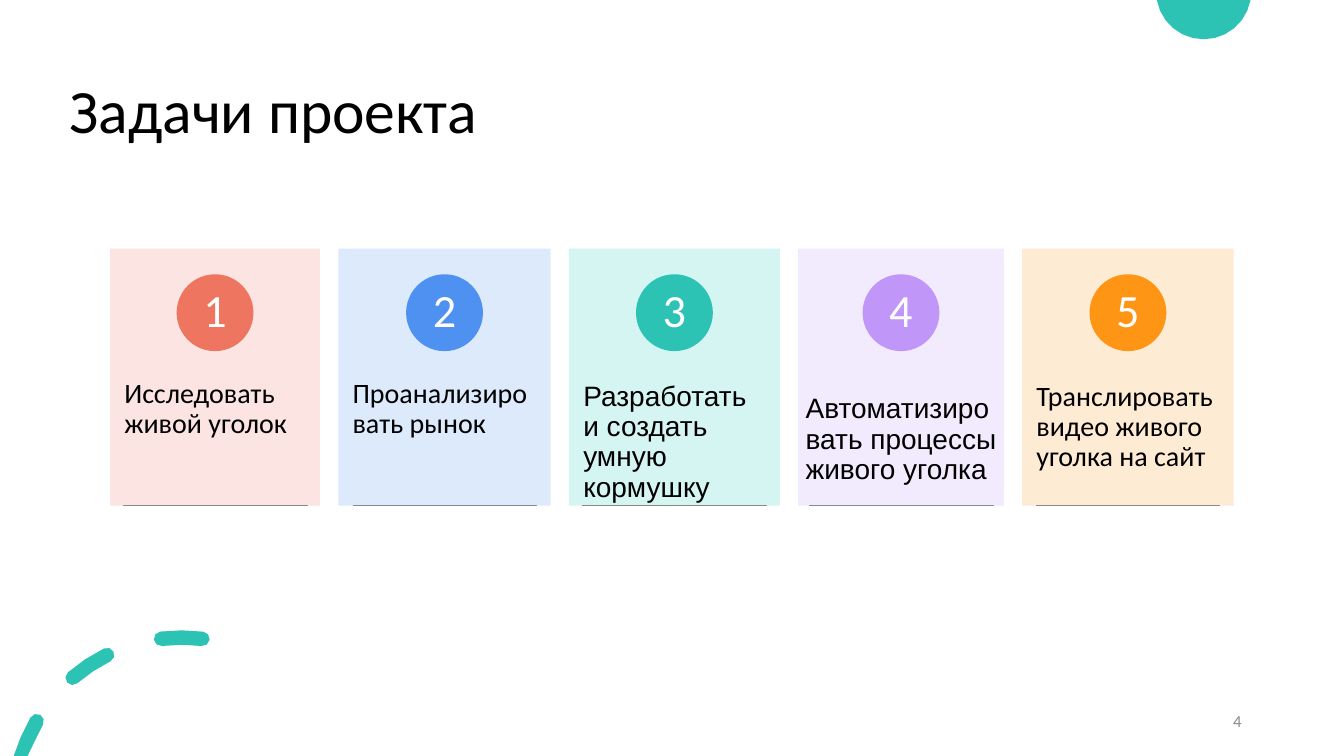
from dataclasses import dataclass
from math import cos, radians, sin

from pptx import Presentation, util as u
from pptx.dml.color import RGBColor
from pptx.enum import shapes, text
from pptx.oxml import ns
from lxml import etree

COLS, ROWS = 160, 90
Point = tuple[float, float]


@dataclass(frozen=True)
class Theme:
    teal: str = "2CC3B4"
    black: str = "000000"
    white: str = "FFFFFF"
    grey: str = "888888"
    font: str = "Calibri"
    alt_font: str = "Arial"
    title_size: float = 44
    number_size: float = 33
    body_size: float = 20
    page_size: float = 12
    card_opacity: int = 90
    rule_width: float = 0.25


@dataclass(frozen=True)
class Box:
    left: float
    top: float
    width: float
    height: float


@dataclass(frozen=True)
class Style:
    font: str
    size: float
    color: str
    align: text.PP_ALIGN = text.PP_ALIGN.LEFT
    anchor: text.MSO_ANCHOR = text.MSO_ANCHOR.MIDDLE
    inset_x: float = 1.2
    inset_top: float = 0.6
    inset_bottom: float = 0.6
    spacing: float = 0.9


@dataclass(frozen=True)
class Task:
    label: str
    width: float
    tint: str
    accent: str
    rule: str
    font: str = "Calibri"
    inset_top: float = 4.3
    label_left: float = 0
    label_down: float = 0
    label_extra: float = 0


THEME = Theme()
CARD_LEFT, CARD_TOP, CARD_HEIGHT, CARD_GAP = 13.1, 29.6, 30.6, 2.17
DISC_TOP, DISC_SIZE, NUMBER_SIZE = 32.65, 9.15, 6.5
LABEL_TOP, LABEL_HEIGHT = 41.2, 18.4
RULE_TOP, RULE_LENGTH = 60.15, 21.85
TASKS = [
    Task("Исследовать живой уголок", 25, "FBE2DE", "EE7661", "5A5260",
         inset_top=4.95),
    Task("Проанализировать рынок", 25.3, "D9E8FC", "4E91F0", "BE96F6",
         inset_top=4.95),
    Task("Разработать и создать умную кормушку", 25.1, "D1F5F2", "2CC3B4",
         "2CC3B4", THEME.alt_font),
    Task("Автоматизировать процессы живого уголка", 24.5, "F1E9FD", "C097F8",
         "2AC2B1", THEME.alt_font, label_left=-0.8, label_down=1.5,
         label_extra=2.1),
    Task("Транслировать видео живого уголка на сайт", 25.2, "FEE9D0", "FF9514",
         "FF9513"),
]

prs = Presentation()
prs.slide_width, prs.slide_height = u.Inches(40 / 3), u.Inches(7.5)


def col(n: float) -> u.Emu:
    return u.Emu(round(prs.slide_width * n / COLS))


def row(n: float) -> u.Emu:
    return u.Emu(round(prs.slide_height * n / ROWS))


def place(box: Box) -> tuple[u.Emu, u.Emu, u.Emu, u.Emu]:
    return col(box.left), row(box.top), col(box.width), row(box.height)


def paint(s, fill: str, line: str | None = None, opacity: int = 100) -> None:
    s.shadow.inherit = False
    s.fill.solid()
    s.fill.fore_color.rgb = RGBColor.from_string(fill)
    if opacity < 100:
        clr = s._element.spPr.find(f"{ns.qn('a:solidFill')}/{ns.qn('a:srgbClr')}")
        etree.SubElement(clr, ns.qn("a:alpha"), val=str(opacity * 1000))
    if line is None:
        s.line.fill.background()
    else:
        s.line.color.rgb = RGBColor.from_string(line)
        s.line.width = u.Pt(THEME.rule_width)


def add_text(parent, box: Box, words: str, style: Style) -> None:
    tf = parent.shapes.add_textbox(*place(box)).text_frame
    tf.word_wrap = True
    tf.vertical_anchor = style.anchor
    tf.margin_left = tf.margin_right = col(style.inset_x)
    tf.margin_top, tf.margin_bottom = row(style.inset_top), row(style.inset_bottom)
    p = tf.paragraphs[0]
    p.add_run().text = words
    p.alignment = style.align
    p.line_spacing = style.spacing
    p.font.name = style.font
    p.font.size = u.Pt(style.size)
    p.font.color.rgb = RGBColor.from_string(style.color)


def add_shape(parent, kind: shapes.MSO_SHAPE, box: Box, fill: str,
              line: str | None = None, opacity: int = 100) -> None:
    paint(parent.shapes.add_shape(kind, *place(box)), fill, line, opacity)


def arc(center: Point, radius: float, start: float, end: float,
        steps: int) -> list[Point]:
    angles = [radians(start + (end - start) * i / steps) for i in range(steps + 1)]
    return [(center[0] + radius * sin(a), center[1] - radius * cos(a))
            for a in angles]


def ring_dash(center: Point, radius: float, half: float, start: float,
              end: float) -> list[Point]:
    tail, head = arc(center, radius, start, end, 1)
    return (arc(center, radius + half, start, end, 2)
            + arc(head, half, end, end + 180, 4)[1:-1]
            + arc(center, radius - half, end, start, 2)
            + arc(tail, half, start + 180, start + 360, 4)[1:-1])


def add_outline(slide, contours: list[list[Point]], fill: str) -> None:
    clipped = [[(col(x), row(min(max(y, 0), ROWS))) for x, y in contour]
               for contour in contours]
    builder = slide.shapes.build_freeform(*clipped[0][0])
    for i, contour in enumerate(clipped):
        if i:
            builder.move_to(*contour[0])
        builder.add_line_segments(contour[1:], close=True)
    paint(builder.convert_to_shape(), fill)


def add_task(group, number: int, left: float, task: Task) -> None:
    middle = left + task.width / 2
    rect, oval = shapes.MSO_SHAPE.RECTANGLE, shapes.MSO_SHAPE.OVAL
    add_shape(group, rect, Box(left, CARD_TOP, task.width, CARD_HEIGHT),
              task.tint, opacity=THEME.card_opacity)
    label = Box(left + task.label_left, LABEL_TOP + task.label_down,
                task.width + task.label_extra, LABEL_HEIGHT)
    add_text(group, label, task.label,
             Style(task.font, THEME.body_size, THEME.black,
                   anchor=text.MSO_ANCHOR.TOP, inset_x=1.7,
                   inset_top=task.inset_top, inset_bottom=4.3))
    add_shape(group, oval, Box(middle - DISC_SIZE / 2, DISC_TOP,
                               DISC_SIZE, DISC_SIZE), task.accent)
    add_text(group, Box(middle - NUMBER_SIZE / 2,
                        DISC_TOP + (DISC_SIZE - NUMBER_SIZE) / 2,
                        NUMBER_SIZE, NUMBER_SIZE), str(number),
             Style(THEME.font, THEME.number_size, THEME.white,
                   text.PP_ALIGN.CENTER, inset_x=0.7, inset_top=0.1,
                   inset_bottom=0.1))
    add_shape(group, rect, Box(middle - RULE_LENGTH / 2, RULE_TOP, RULE_LENGTH, 0),
              task.rule, THEME.grey)


def main() -> None:
    slide = prs.slides.add_slide(prs.slide_layouts[6])
    add_outline(slide, [arc((143.3, -0.98), 5.66, 100, 260, 12)], THEME.teal)
    dashes = [ring_dash((21.6, 95.8), 19.9, 0.86, start, start + 14.2)
              for start in (-74.2 + 33.6 * i for i in range(3))]
    add_outline(slide, dashes, THEME.teal)
    add_text(slide, Box(7.1, 4.8, 138, 17.4), "Задачи проекта",
             Style(THEME.font, THEME.title_size, THEME.black))
    group = slide.shapes.add_group_shape()
    left = CARD_LEFT
    for number, task in enumerate(TASKS, 1):
        add_task(group, number, left, task)
        left += task.width + CARD_GAP
    add_text(slide, Box(113, 83.4, 36, 4.8), "4",
             Style(THEME.font, THEME.page_size, THEME.grey,
                   text.PP_ALIGN.RIGHT, spacing=1.0))
    prs.save("out.pptx")


if __name__ == "__main__":
    main()
